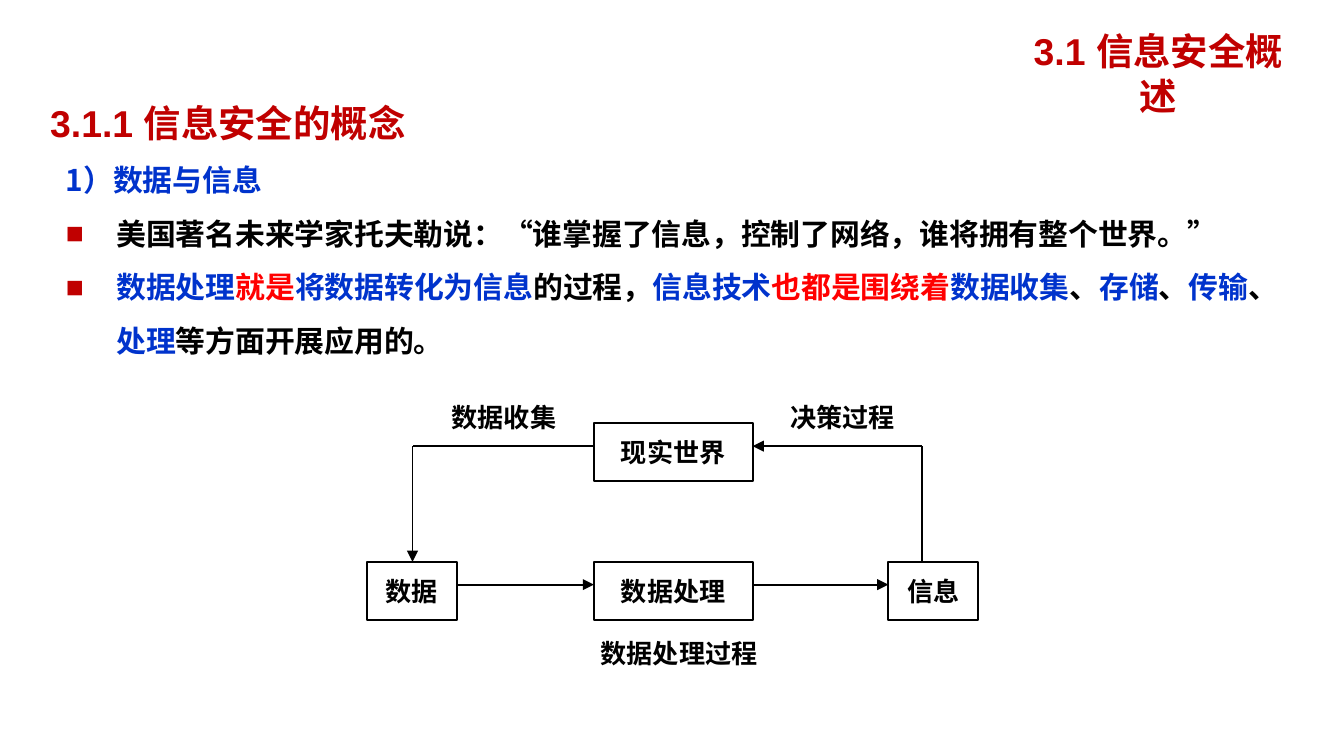
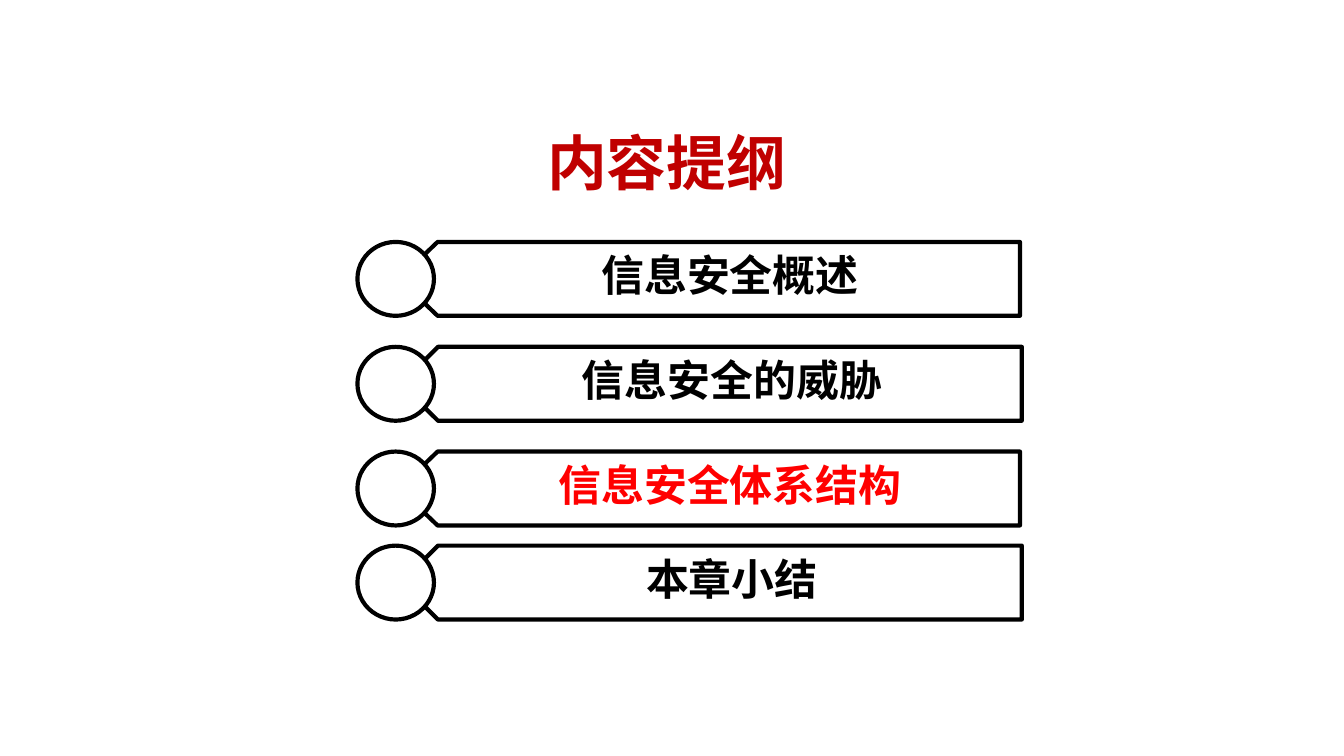
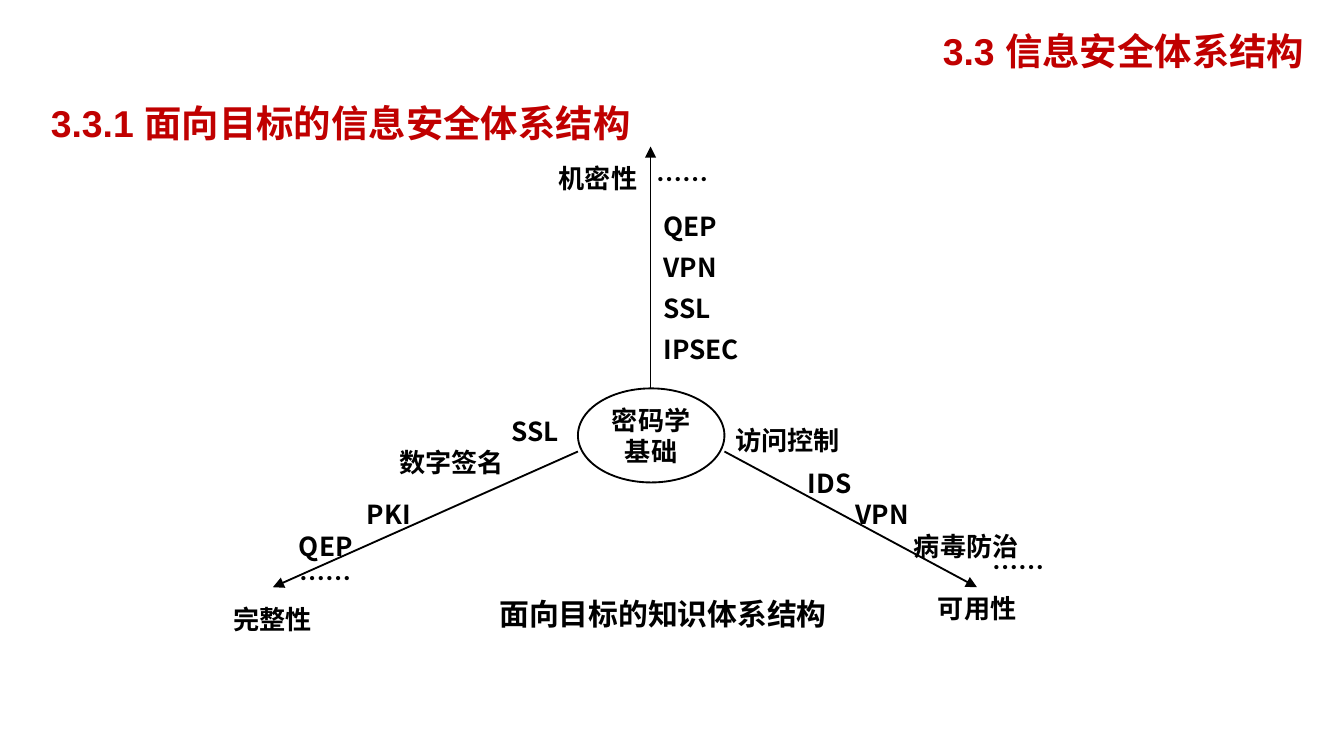
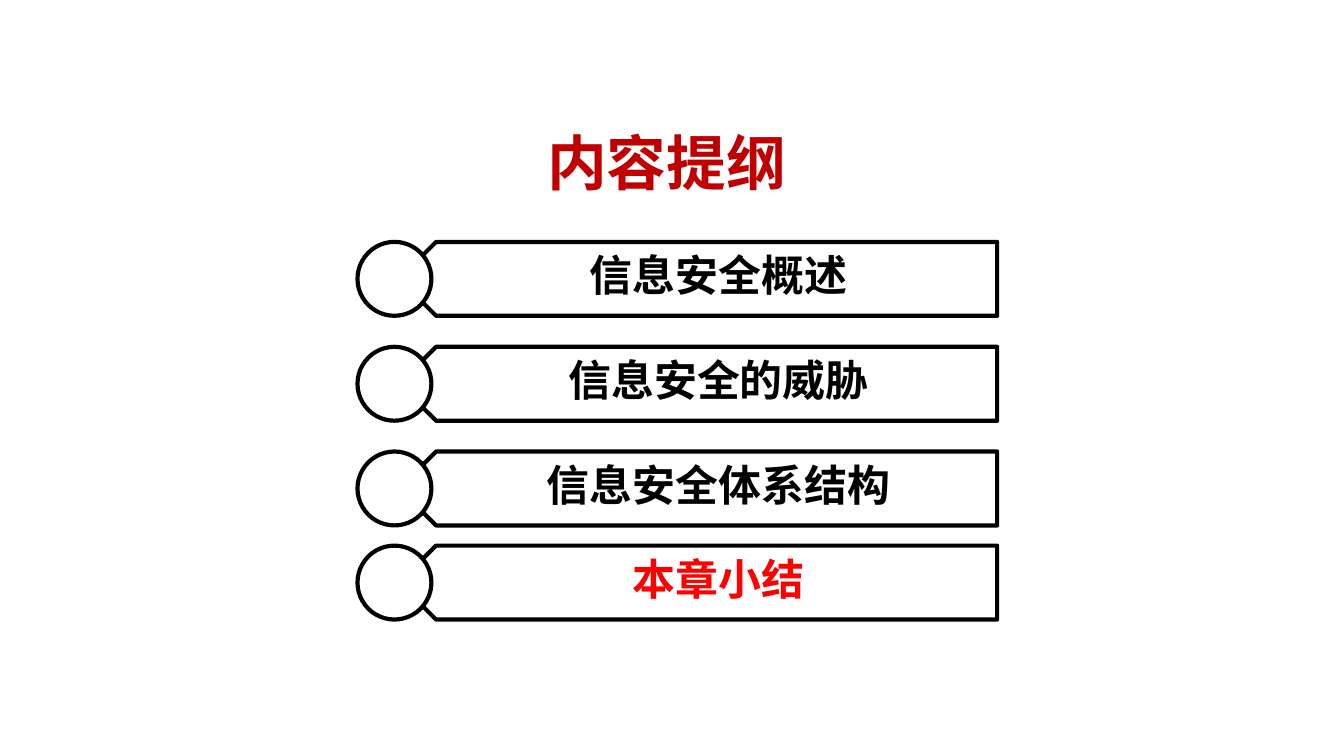
"""Build four slides on information security: concepts, outlines and architecture."""
from lxml.etree import SubElement
from pptx import Presentation
from pptx.dml.color import RGBColor
from pptx.enum.shapes import MSO_CONNECTOR, MSO_SHAPE
from pptx.enum.text import MSO_ANCHOR as ANCHOR, MSO_AUTO_SIZE, PP_ALIGN as ALIGN
from pptx.oxml import parse_xml
from pptx.oxml.ns import nsdecls, qn
from pptx.util import Pt

CJK, LATIN = "Noto Sans CJK SC", "Arial"
BLACK, WHITE, DARK_RED, RED, BLUE = "000000", "FFFFFF", "C00000", "FF0000", "0033CC"
rgb = RGBColor.from_string


def write(s, text, box, size=14, color=BLACK, font=CJK, anchor=ANCHOR.MIDDLE, align=ALIGN.CENTER, wrap=False):
    """Place a shape and fill it with bold text."""
    s.left, s.top, s.width, s.height = map(Pt, box)
    tf = s.text_frame
    tf.text = text
    tf.auto_size, tf.word_wrap, tf.vertical_anchor = MSO_AUTO_SIZE.NONE, wrap, anchor
    for p in tf.paragraphs:
        p.alignment = align
        p.font.size, p.font.bold, p.font.name = Pt(size), True, font
        p.font.color.rgb = rgb(color)
        SubElement(p.font._rPr, qn("a:ea"), typeface=CJK)
    return tf


def outline(slide, kind, box, width=1, fill=None):
    """Add a black-outlined shape."""
    s = slide.shapes.add_shape(kind, *map(Pt, box))
    s.shadow.inherit = False
    if fill:
        s.fill.solid()
        s.fill.fore_color.rgb = rgb(fill)
    else:
        s.fill.background()
    s.line.color.rgb, s.line.width = rgb(BLACK), Pt(width)
    return s


prs = Presentation()
prs.slide_width, prs.slide_height = Pt(720), Pt(405)
concept = prs.slides.add_slide(prs.slide_layouts[1])
outline_1, goals, outline_2 = [prs.slides.add_slide(prs.slide_layouts[5]) for _ in range(3)]

for slide, title, left, width, heading, heading_width in [
    (concept, "3.1 信息安全概述", 534.2, 172.8, "3.1.1 信息安全的概念", 211),
    (goals, "3.3 信息安全体系结构", 495.4, 213.1, "3.3.1 面向目标的信息安全体系结构", 331.9),
]:
    write(slide.shapes.title, title, (left, 11.5, width, 31.7), 20, DARK_RED, LATIN, ANCHOR.TOP, wrap=True)
    s = slide.shapes.add_textbox(0, 0, 0, 0)
    write(s, heading, (16.6, 50.4, heading_width, 31.7), 20, DARK_RED, LATIN, ANCHOR.TOP)
tf = concept.shapes.title.text_frame
tf.margin_left = tf.margin_right = Pt(14)

body = "1）数据与信息\n美国著名未来学家托夫勒说：“谁掌握了信息，控制了网络，谁将拥有整个世界。”\n"
tf = write(concept.placeholders[1], body, (28.1, 73.4, 675.4, 146.2), 16,
           anchor=ANCHOR.TOP, align=ALIGN.LEFT, wrap=True)
first, _, last = tf.paragraphs
first.runs[0].font.color.rgb = rgb(BLUE)
for text, color in [
    ("数据处理", BLUE), ("就是", RED), ("将数据转化为信息", BLUE), ("的过程，", BLACK),
    ("信息技术", BLUE), ("也都是围绕着", RED), ("数据收集", BLUE), ("、", BLACK), ("存储", BLUE),
    ("、", BLACK), ("传输", BLUE), ("、", BLACK), ("处理", BLUE), ("等方面开展应用的。", BLACK),
]:
    r = last.add_run()
    r.text = text
    r.font.color.rgb = rgb(color)
ns = nsdecls("a")
bullet = [f'<a:buClr {ns}><a:srgbClr val="{DARK_RED}"/></a:buClr>', f'<a:buChar {ns} char="■"/>']
for p in tf.paragraphs:
    p.line_spacing, p.space_before = 1.5, Pt(0)
    pPr = p._p.get_or_add_pPr()
    pPr.set("marL", str(Pt(27)))
    pPr.set("indent", str(Pt(-27)))
    for xml in [f"<a:buNone {ns}/>"] if p._p is first._p else bullet:
        pPr.find(qn("a:defRPr")).addprevious(parse_xml(xml))

for text, left, top, width in [
    ("数据处理", 318.2, 301, 85), ("现实世界", 318.2, 226.8, 85),
    ("数据", 196.6, 301, 48.2), ("信息", 475.9, 301, 48.2),
]:
    box = (left, top, width, 31)
    write(outline(concept, MSO_SHAPE.RECTANGLE, box), text, box)
for text, left in [("决策过程", 409), ("数据收集", 227.5)]:
    write(concept.shapes.add_textbox(0, 0, 0, 0), text, (left, 208.1, 85, 31))
write(concept.shapes.add_textbox(0, 0, 0, 0), "数据处理过程", (314.6, 337.7, 98.6, 23.8),
      font=LATIN, anchor=ANCHOR.TOP)

topics = ["信息安全概述", "信息安全的威胁", "信息安全体系结构", "本章小结"]
for slide, current, bar, circle, shift, even_adj in [
    (outline_1, 2, 332.6, 41, 1, 0.52), (outline_2, 3, 320.4, 39.6, 0, 0.5),
]:
    write(slide.shapes.title, "内容提纲", (118.1, 61.9, 478.1, 49.7), 32, DARK_RED, LATIN, wrap=True)
    for i, (topic, top) in enumerate(zip(topics, [129.6, 185.8, 241.9, 292.3])):
        dx = shift * (i % 2)
        s = outline(slide, MSO_SHAPE.PENTAGON, (213.8 + dx, top, bar, 39.6), 2.25, WHITE)
        s.rotation = 180
        s.adjustments[0] = 0.5 if i % 2 else even_adj
        outline(slide, MSO_SHAPE.OVAL, (191.5, top, circle, 39.6), 2.25, WHITE)
        write(slide.shapes.add_textbox(0, 0, 0, 0), topic, (236.2 + dx, top, bar - 22.7, 34.6), 23,
              RED if i == current else BLACK, anchor=ANCHOR.TOP, wrap=True)

box = (309.6, 208.1, 78.5, 50.4)
write(outline(goals, MSO_SHAPE.OVAL, box), "密码学\n基础", box, font=LATIN)
for text, left, top, width, height in [
    ("SSL", 270, 219.6, 33.8, 22.3), ("数字签名", 213.8, 236.2, 56.2, 22.3),
    ("PKI", 191.5, 264.2, 33.8, 22.3), ("QEP", 157.7, 281.5, 33.8, 22.3),
    ("完整性", 118.1, 320.4, 56.2, 22.3), ("……", 146.2, 303.8, 56.2, 11.5),
    ("访问控制", 393.8, 224.6, 56.2, 22.3), ("IDS", 427.7, 247.7, 33.8, 22.3),
    ("VPN", 455.8, 264.2, 33.8, 22.3), ("病毒防治", 489.6, 281.5, 56.2, 22.3),
    ("……", 517.7, 298.1, 56.2, 11.5), ("可用性", 495.4, 314.6, 56.2, 22.3),
    ("机密性", 292.3, 84.2, 56.2, 22.3), ("……", 337.7, 90, 56.2, 11.5),
]:
    write(goals.shapes.add_textbox(0, 0, 0, 0), text, (left, top, width, height))
tf = write(goals.shapes.add_textbox(0, 0, 0, 0), "QEP\nVPN\nSSL\nIPSEC", (348.5, 106.6, 33.8, 90), align=ALIGN.LEFT)
for p in tf.paragraphs:
    p.line_spacing = Pt(22)
write(goals.shapes.add_textbox(0, 0, 0, 0), "面向目标的知识体系结构", (259.9, 315.4, 190.8, 26.6), 16,
      font=LATIN, anchor=ANCHOR.TOP)

for slide, ends, arrow in [
    (concept, (245.5, 313.2, 318.2, 313.2), True), (concept, (403.2, 313.2, 475.9, 313.2), True),
    (concept, (493.9, 301, 493.9, 239), False), (concept, (493.9, 239, 403.2, 239), True),
    (concept, (318.2, 239, 221, 239), False), (concept, (221, 239, 221, 301), True),
    (goals, (309.6, 241.9, 146.2, 314.6), True), (goals, (388.1, 241.9, 523.4, 314.6), True),
    (goals, (348.5, 208.1, 348.5, 78.5), True),
]:
    s = slide.shapes.add_connector(MSO_CONNECTOR.STRAIGHT, *map(Pt, ends))
    s.line.color.rgb, s.line.width = rgb(BLACK), Pt(1)
    if arrow:
        SubElement(s.line._get_or_add_ln(), qn("a:tailEnd"), type="triangle")
    SubElement(s._element.spPr, qn("a:effectLst"))

prs.save("out.pptx")
